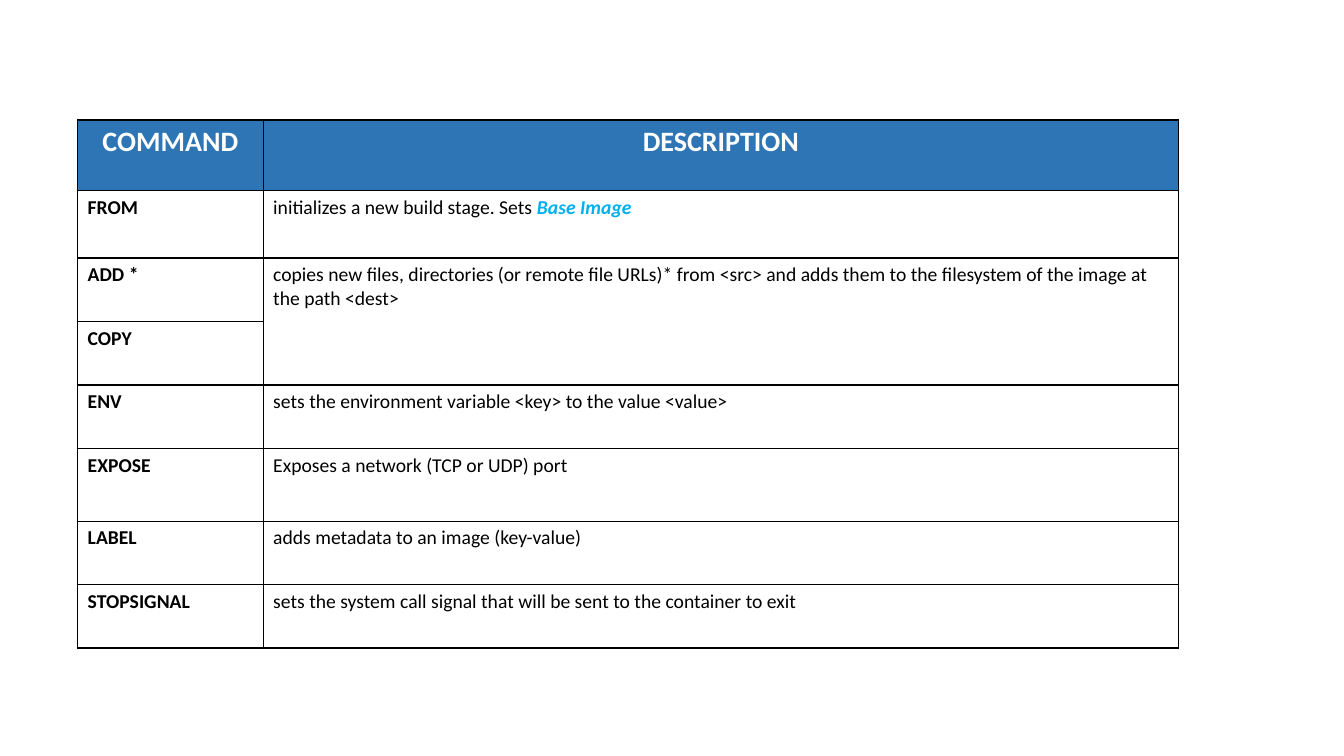
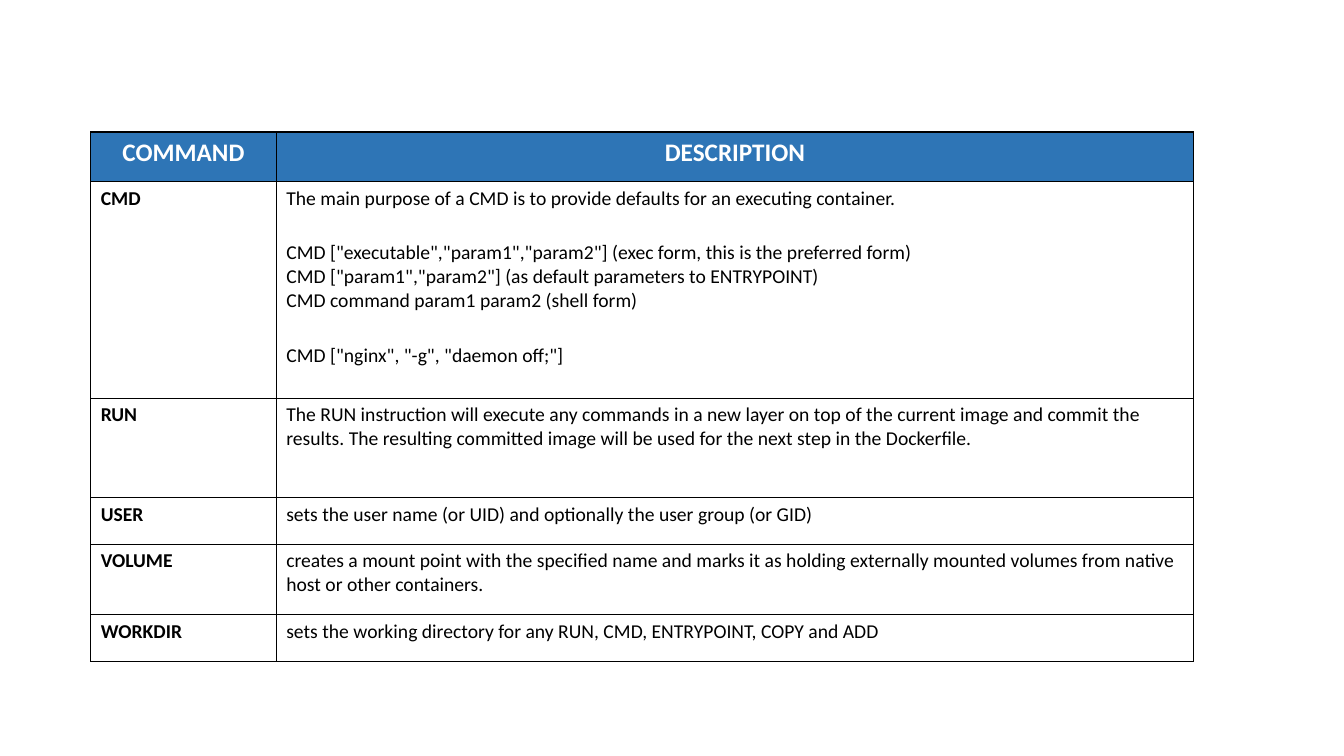
from lxml import etree
from pptx import Presentation
from pptx.dml.color import RGBColor
from pptx.enum import text
from pptx.oxml import ns
from pptx.util import Inches, Pt

COLOURS = {
    "header": "2E75B6",
    "header_text": "FFFFFF",
    "body": "FFFFFF",
    "body_text": "000000",
    "border": "000000",
    "emphasis": "00B0F0",
}
FONT = "Calibri"
BODY_SIZE = 14
GROUP_GAP = 22
BORDER_WIDTH = 0.92
HEADINGS = ("COMMAND", "DESCRIPTION")

BUILD_COMMANDS = [
    ("FROM", "initializes a new build stage. Sets ", 0.67),
    ("ADD *", "copies new files, directories (or remote file URLs)* from <src> and adds "
              "them to the filesystem of the image at the path <dest>", 0.63),
    ("COPY", None, 0.63),
    ("ENV", "sets the environment variable <key> to the value <value>", 0.63),
    ("EXPOSE", "Exposes a network (TCP or UDP) port", 0.72),
    ("LABEL", "adds metadata to an image (key-value)", 0.63),
    ("STOPSIGNAL", "sets the system call signal that will be sent to the container to exit", 0.63),
]
CMD_GROUPS = [
    ["The main purpose of a CMD is to provide defaults for an executing container."],
    ['CMD ["executable","param1","param2"] (exec form, this is the preferred form)',
     'CMD ["param1","param2"] (as default parameters to ENTRYPOINT)',
     "CMD command param1 param2 (shell form)"],
    ['CMD ["nginx", "-g", "daemon off;"]'],
]
RUN_COMMANDS = [
    ("CMD", CMD_GROUPS, 2.15),
    ("RUN", "The RUN instruction will execute any commands in a new layer on top of the "
            "current image and commit the results. The resulting committed image will be "
            "used for the next step in the Dockerfile.", 0.99),
    ("USER", "sets the user name (or UID) and optionally the user group (or GID)", 0.46),
    ("VOLUME", "creates a mount point with the specified name and marks it as holding "
               "externally mounted volumes from native host or other containers.", 0.7),
    ("WORKDIR", "sets the working directory for any RUN, CMD, ENTRYPOINT, COPY and ADD", 0.46),
]


def colour(name):
    """Return a palette colour."""
    return RGBColor.from_string(COLOURS[name])


def style_font(font, size, tone, bold=False, italic=False):
    """Apply the shared typeface with a size, colour and weight."""
    font.name = FONT
    font.size = Pt(size)
    font.bold = bold
    font.italic = italic
    font.color.rgb = colour(tone)


def style_cell(cell, fill):
    """Give a cell its four borders and its fill."""
    properties = cell._tc.get_or_add_tcPr()
    for side in ("lnL", "lnR", "lnT", "lnB"):
        line = etree.SubElement(properties, ns.qn(f"a:{side}"), w=str(int(Pt(BORDER_WIDTH))))
        solid = etree.SubElement(line, ns.qn("a:solidFill"))
        etree.SubElement(solid, ns.qn("a:srgbClr"), val=COLOURS["border"])
    cell.fill.solid()
    cell.fill.fore_color.rgb = colour(fill)


def write_heading(cell, heading, size):
    """Write a centred column heading."""
    style_cell(cell, "header")
    cell.text_frame.text = heading
    paragraph = cell.text_frame.paragraphs[0]
    paragraph.alignment = text.PP_ALIGN.CENTER
    style_font(paragraph.runs[0].font, size, "header_text", bold=True)


def write_body(cell, groups, bold=False):
    """Write groups of paragraphs with a gap between the groups."""
    lines = [line for group in groups for line in group]
    cell.text_frame.text = "\n".join(lines)
    openers = [group[0] for group in groups[1:]]
    for paragraph in cell.text_frame.paragraphs:
        if paragraph.text in openers:
            paragraph.space_before = Pt(GROUP_GAP)
        for run in paragraph.runs:
            style_font(run.font, BODY_SIZE, "body_text", bold)


def append_emphasis(cell, phrase):
    """Add a highlighted phrase to the end of a cell."""
    run = cell.text_frame.paragraphs[-1].add_run()
    run.text = phrase
    style_font(run.font, BODY_SIZE, "emphasis", bold=True, italic=True)


def add_command_table(slide, left, top, widths, heading_height, heading_size, commands):
    """Add a table of commands and their descriptions."""
    heights = [heading_height] + [height for _, _, height in commands]
    table = slide.shapes.add_table(
        len(heights), len(widths), Inches(left), Inches(top),
        Inches(sum(widths)), Inches(sum(heights))).table
    table.first_row = table.horz_banding = False
    for column, width in zip(table.columns, widths):
        column.width = Inches(width)
    for row, height in zip(table.rows, heights):
        row.height = Inches(height)
    for index, heading in enumerate(HEADINGS):
        write_heading(table.cell(0, index), heading, heading_size)
    for index, (command, description, _) in enumerate(commands, start=1):
        command_cell, description_cell = table.cell(index, 0), table.cell(index, 1)
        style_cell(command_cell, "body")
        style_cell(description_cell, "body")
        write_body(command_cell, [[command]], bold=True)
        if description is None:
            table.cell(index - 1, 1).merge(description_cell)
        else:
            groups = [[description]] if isinstance(description, str) else description
            write_body(description_cell, groups)
    return table


def main():
    """Build and save the presentation."""
    deck = Presentation()
    deck.slide_width, deck.slide_height = Inches(13.33), Inches(7.5)
    blank = deck.slide_layouts[6]
    build_table = add_command_table(
        deck.slides.add_slide(blank), 0.77, 1.19, (1.84, 9.08), 0.7, 20, BUILD_COMMANDS)
    append_emphasis(build_table.cell(1, 1), "Base Image")
    add_command_table(
        deck.slides.add_slide(blank), 0.9, 1.31, (1.84, 9.1), 0.49, 18, RUN_COMMANDS)
    deck.save("out.pptx")


if __name__ == "__main__":
    main()
